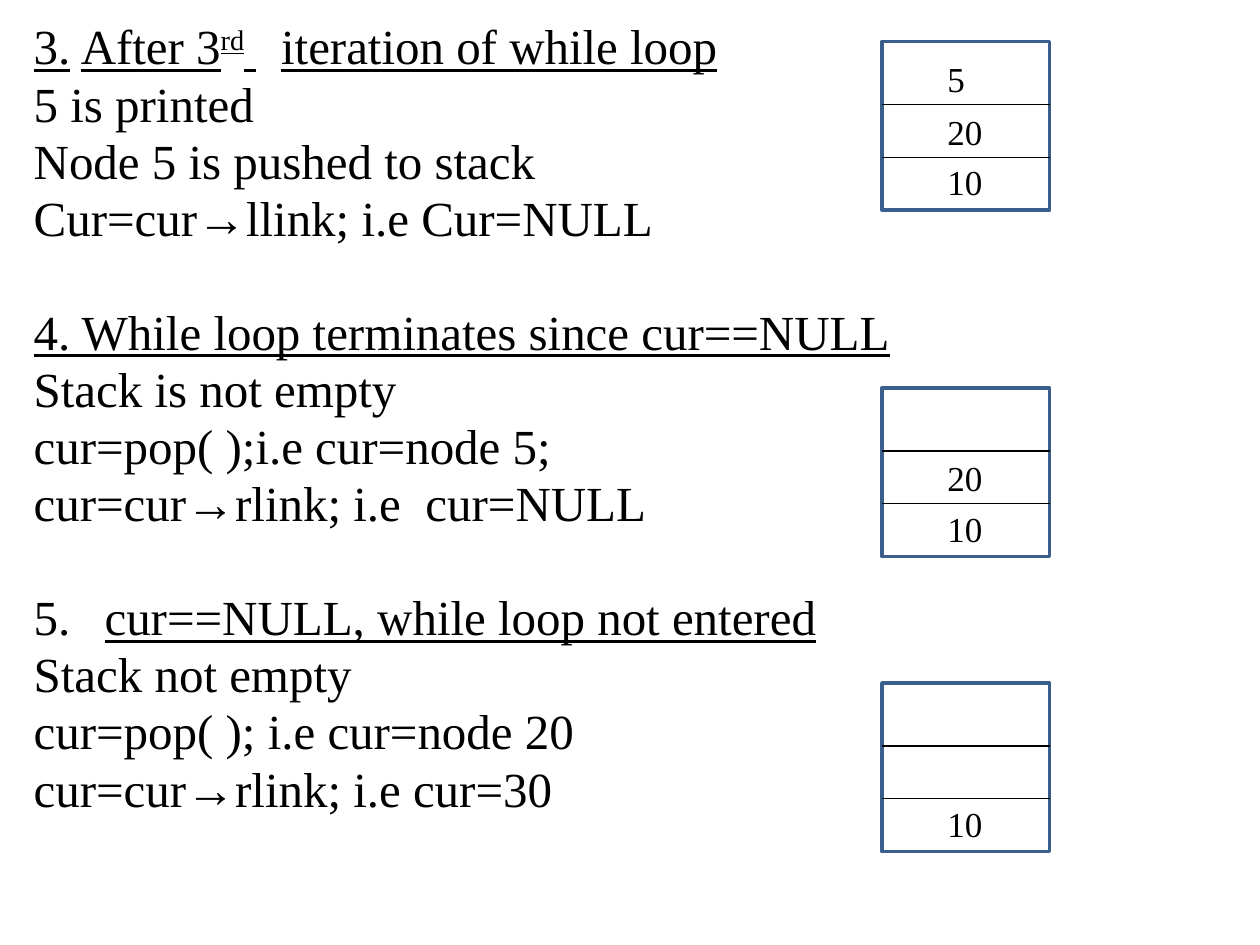
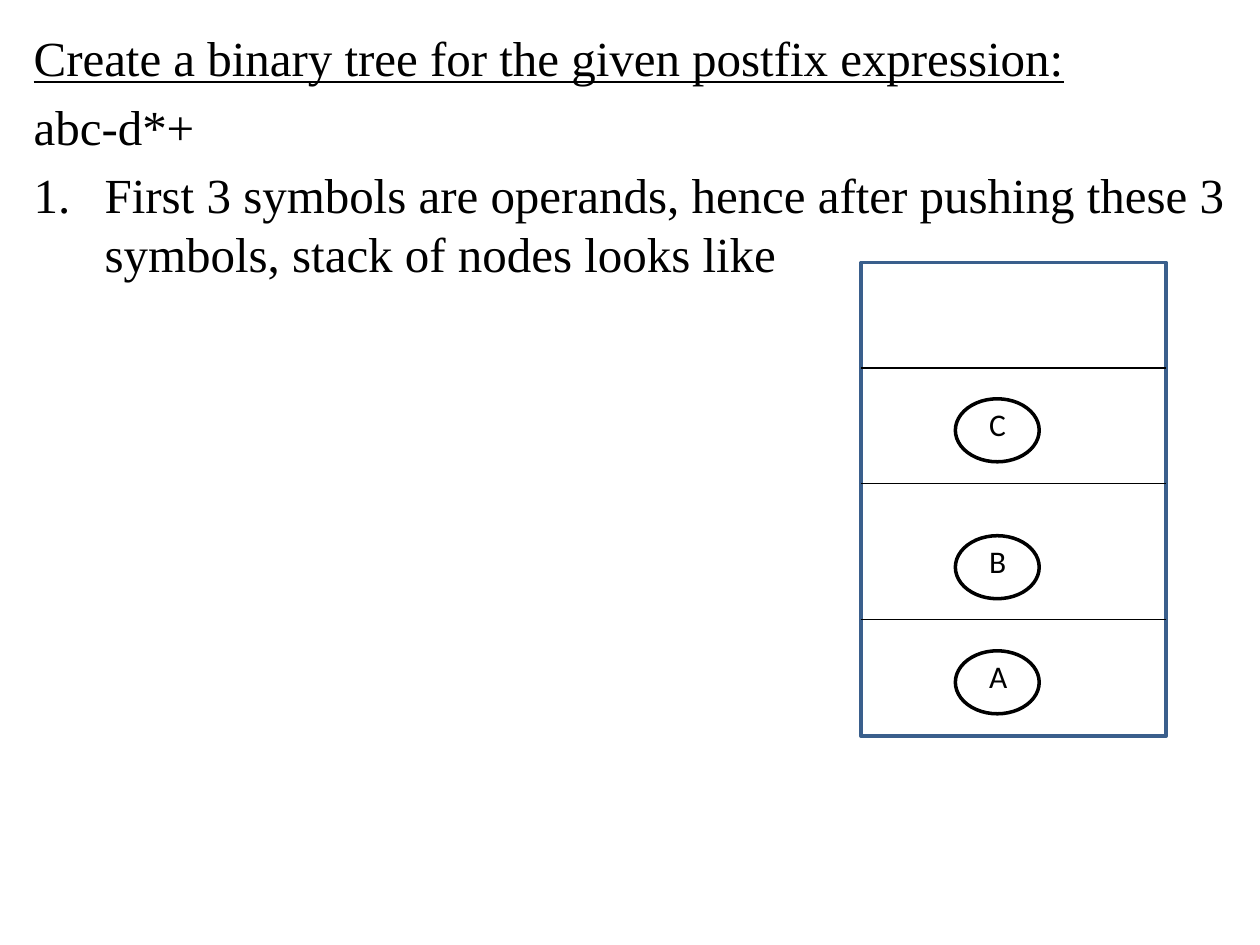
from lxml import etree
from pptx import Presentation
from pptx.dml.color import RGBColor
from pptx.enum.shapes import MSO_CONNECTOR, MSO_SHAPE
from pptx.oxml.ns import qn
from pptx.util import Cm, Pt

RECT, OVAL, LINE = MSO_SHAPE.RECTANGLE, MSO_SHAPE.OVAL, MSO_CONNECTOR.STRAIGHT
COLORS = {"ink": "000000", "paper": "FFFFFF", "frame": "3A5F8C"}
HUE = {name: RGBColor.from_string(code) for name, code in COLORS.items()}
SERIF, SANS = "Times New Roman", "Calibri"
NEAR, FAR = 0.95, 1.43  # hanging indents
GAP, BREAK = 5.6, 38.2  # space before a line, and before a new step

# Each line: indent, space before, underlined, number, runs.
# A run is a text and its character attributes.
STEPS = [
    (NEAR, 0, True, None, [("3.\tAfter 3", {}), ("rd", {"baseline": "30000"}),
                           (" ", {"spc": "1400"}), ("iteration of while loop", {})]),
    (NEAR, GAP, False, None, [("5 is printed", {})]),
    (NEAR, GAP, False, None, [("Node 5 is pushed to stack", {})]),
    (NEAR, GAP, False, None, [("Cur=cur→llink; i.e Cur=NULL", {})]),
    (FAR, BREAK, True, None, [("4. While loop terminates since cur==NULL", {})]),
    (FAR, GAP, False, None, [("Stack is not empty", {})]),
    (FAR, GAP, False, None, [("cur=pop( );i.e cur=node 5;", {})]),
    (FAR, GAP, False, None, [("cur=cur→rlink; i.e", {}), (" ", {"spc": "700"}),
                             ("cur=NULL", {})]),
    (FAR, BREAK, True, 5, [("cur==NULL, while loop not entered", {})]),
    (FAR, GAP, False, None, [("Stack not empty", {})]),
    (FAR, GAP, False, None, [("cur=pop( ); i.e cur=node 20", {})]),
    (FAR, GAP, False, None, [("cur=cur→rlink; i.e cur=30", {})]),
]
TREE = [
    (NEAR, 0, True, None, [("Create a binary tree for the given postfix expression:", {})]),
    (NEAR, GAP, False, None, [("abc-d*+", {})]),
    (FAR, GAP, False, 1, [("First 3 symbols are operands, hence after pushing these 3 "
                           "symbols, stack of nodes looks like", {})]),
]


def label(slide, x, y, w, text, size, face):
    box = slide.shapes.add_textbox(Cm(x), Cm(y), Cm(w), Cm(1.1))
    box.text_frame.word_wrap = True
    para = box.text_frame.paragraphs[0]
    para.text = text
    para.font.size, para.font.name = Pt(size), face
    para.font.color.rgb = HUE["ink"]


def stack(slide, x, y, w, h, cuts):
    """Draw a framed stack, split by a line at each depth in cuts."""
    frame = slide.shapes.add_shape(RECT, Cm(x), Cm(y), Cm(w), Cm(h))
    frame.shadow.inherit = False
    frame.fill.solid()
    frame.fill.fore_color.rgb = HUE["paper"]
    frame.line.color.rgb, frame.line.width = HUE["frame"], Pt(2)
    for cut in cuts:
        rule = slide.shapes.add_connector(LINE, Cm(x), Cm(y + cut), Cm(x + w), Cm(y + cut))
        rule.line.color.rgb, rule.line.width = HUE["ink"], Pt(0.75)
        etree.SubElement(rule._element.spPr, qn("a:effectLst"))


deck = Presentation()
deck.slide_width, deck.slide_height = Cm(25.4), Cm(19.05)

# Body text of both slides
for lines, pitch in ((STEPS, 27), (TREE, 33.6)):
    slide = deck.slides.add_slide(deck.slide_layouts[6])
    frame = slide.shapes.add_textbox(Cm(0.43), Cm(0.43), Cm(24.56), Cm(18.1)).text_frame
    frame.word_wrap = True
    for i, (indent, gap, under, number, runs) in enumerate(lines):
        para = frame.add_paragraph() if i else frame.paragraphs[0]
        props = para._p.get_or_add_pPr()
        props.set("marL", str(Cm(indent)))
        props.set("indent", str(-Cm(indent)))
        if number:
            etree.SubElement(props, qn("a:buFont"), typeface=SERIF)
            etree.SubElement(props, qn("a:buAutoNum"), type="arabicPeriod", startAt=str(number))
        para.line_spacing, para.space_before = Pt(pitch), Pt(gap)
        para.font.size, para.font.name = Pt(28), SERIF
        para.font.underline = under
        para.font.color.rgb = HUE["ink"]
        for text, looks in runs:
            run = para.add_run()
            run.text = text
            for key, value in looks.items():
                run._r.get_or_add_rPr().set(key, value)

# Slide 1: the stack after each step, values from the bottom up
first, second = deck.slides
for top, values in ((0.84, (10, 20, 5)), (7.82, (10, 20)), (13.77, (10,))):
    stack(first, 17.78, top, 3.38, 3.4, (1.27, 2.33))
    for depth, value in zip((2.28, 1.26, 0.2), values):
        label(first, 18.85, top + depth, 1.47, str(value), 20, SERIF)

# Slide 2: the stack of tree nodes
stack(second, 17.36, 5.29, 6.15, 9.55, (2.13, 4.45, 7.2))
for name, top in (("A", 13.12), ("B", 10.8), ("C", 8.04)):
    node = second.shapes.add_shape(OVAL, Cm(19.26), Cm(top), Cm(1.69), Cm(1.27))
    node.shadow.inherit = False
    node.fill.solid()
    node.fill.fore_color.rgb = HUE["paper"]
    node.line.color.rgb, node.line.width = HUE["ink"], Pt(2)
    label(second, 19.69, top, 1.27, name, 18, SANS)

deck.save("out.pptx")
